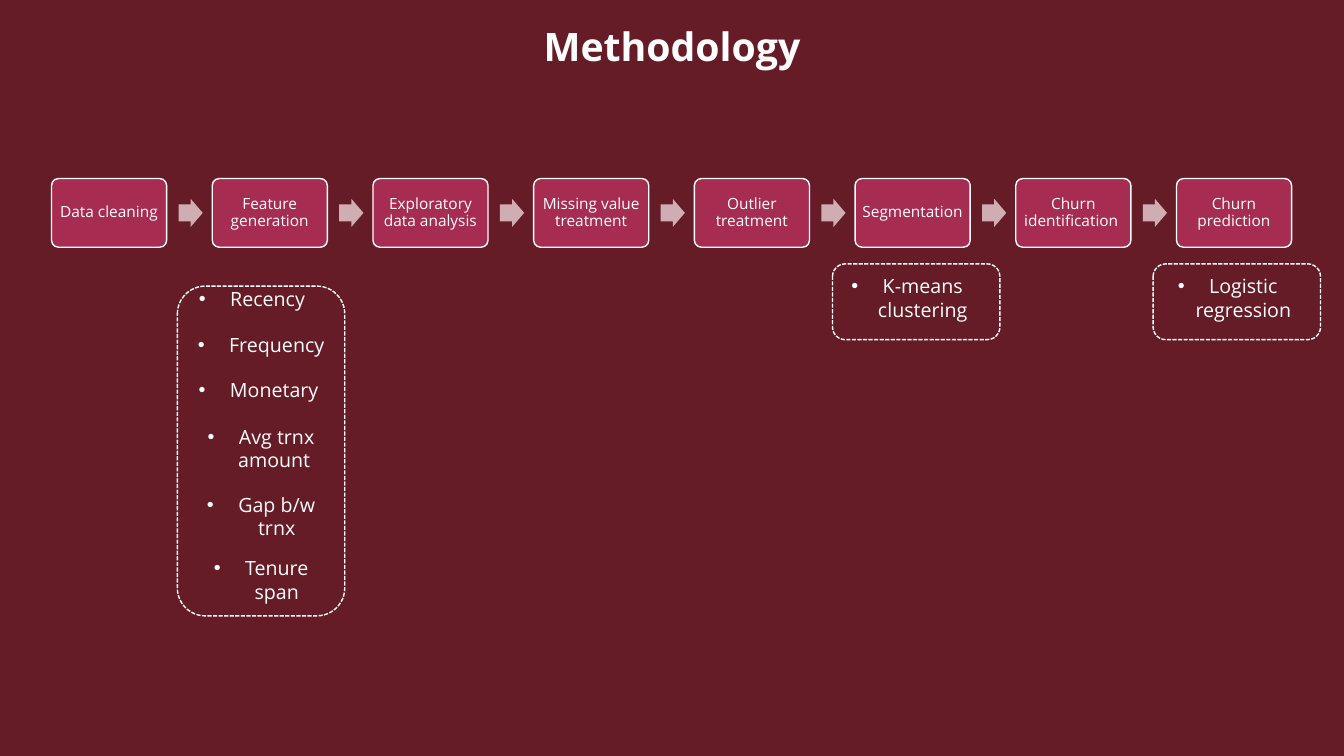
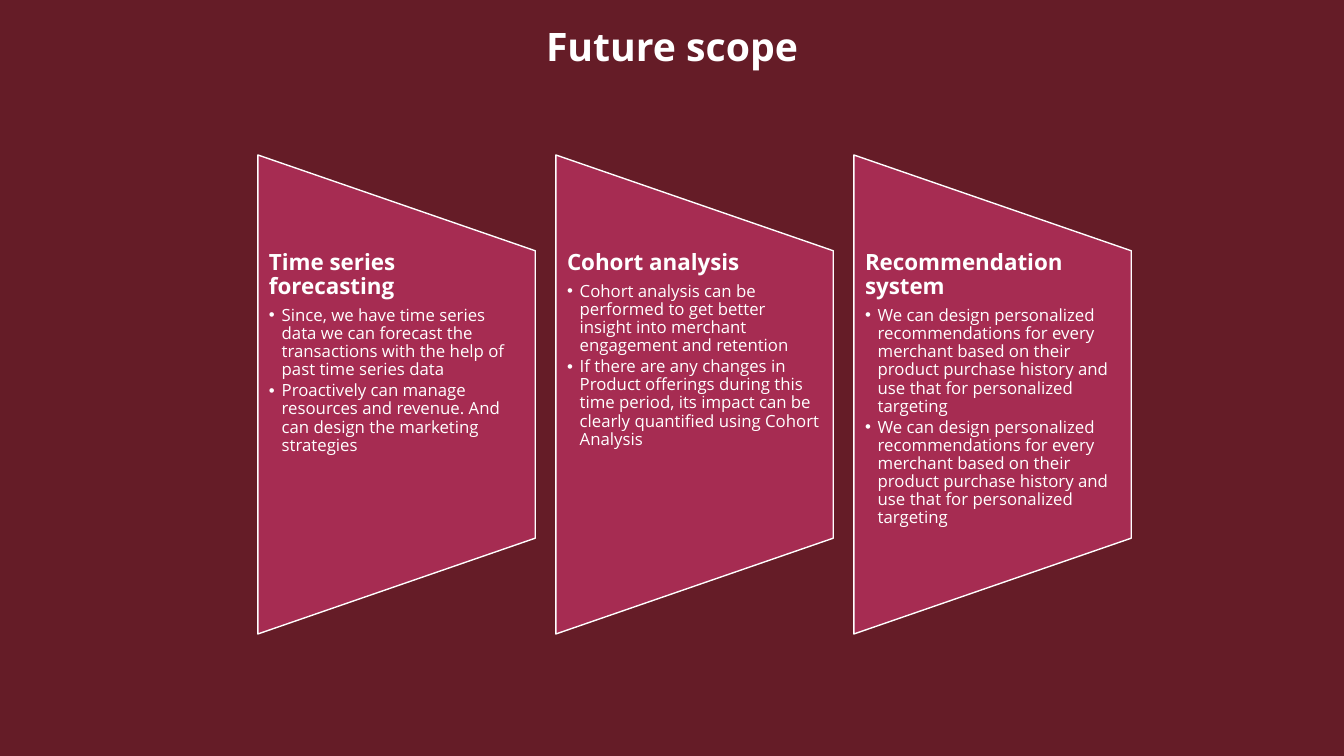
from lxml.etree import SubElement
from pptx import Presentation
from pptx.dml.color import RGBColor
from pptx.enum.dml import MSO_LINE_DASH_STYLE as DASH
from pptx.enum.shapes import MSO_SHAPE as SHAPE
from pptx.enum.text import MSO_ANCHOR as ANCHOR, PP_ALIGN as ALIGN
from pptx.oxml.ns import qn
from pptx.util import Cm, Pt

# Shared style
FONT = "Open Sans"
BACK, PANEL, ARROW, WHITE = "651C27", "A62C52", "D0ADB3", "FFFFFF"

# Slide 1: process steps, and notes as (text, left, top, height)
STEPS = ["Data cleaning", "Feature generation", "Exploratory data analysis",
         "Missing value treatment", "Outlier treatment", "Segmentation",
         "Churn identification ", "Churn prediction"]
STEP_LEFT, STEP_TOP, STEP_W, STEP_H, STEP_PITCH = 1.3, 4.5, 2.9, 1.73, 4.05
FEATURES = [("Recency", 4.47, 7.09, 0.86), ("Frequency ", 4.7, 8.26, 0.86),
            ("Monetary ", 4.7, 9.4, 0.86), ("Avg trnx amount ", 4.7, 10.57, 1.45),
            ("Gap b/w trnx", 4.7, 12.29, 1.45), ("Tenure span", 4.7, 13.89, 1.45)]
METHODS = [("K-means clustering", 20.98), ("Logistic regression", 29.06)]
FRAME_W = 4.22

# Slide 2: panels as (heading, points)
RECOMMEND = ("We can design personalized recommendations for every merchant based on "
             "their product purchase history and use that for personalized targeting")
PANELS = [
    ("Time series forecasting", [
        "Since, we have time series data we can forecast the transactions with the "
        "help of past time series data",
        "Proactively can manage resources and revenue. And can design the marketing "
        "strategies "]),
    ("Cohort analysis", [
        "Cohort analysis can be performed to get better insight into merchant "
        "engagement and retention",
        "If there are any changes in Product offerings during this time period, its "
        "impact can be clearly quantified using Cohort Analysis"]),
    ("Recommendation system", [RECOMMEND, RECOMMEND]),
]
PANEL_LEFT, PANEL_W, PANEL_H, PANEL_PITCH = 6.5, 6.99, 12.07, 7.51
PANEL_MIDDLE = 9.94


def rgb(color):
    return RGBColor.from_string(color)


def add_run(p, text, size, bold=False):
    r = p.add_run()
    r.text = text
    r.font.name = FONT
    r.font.size = Pt(size)
    r.font.bold = bold
    r.font.color.rgb = rgb(WHITE)


def add_bullet(p, indent):
    pPr = p._p.get_or_add_pPr()
    pPr.set("marL", str(Cm(indent)))
    pPr.set("indent", str(-Cm(indent)))
    SubElement(pPr, qn("a:buFont")).set("typeface", "Arial")
    SubElement(pPr, qn("a:buChar")).set("char", "•")


def set_frame(tf, anchor, side, end):
    tf.word_wrap = True
    tf.vertical_anchor = anchor
    tf.margin_left = tf.margin_right = Cm(side)
    tf.margin_top = tf.margin_bottom = Cm(end)


def add_text(s, left, top, width, height, anchor=ANCHOR.TOP, side=0.25, end=0.13):
    tf = s.shapes.add_textbox(Cm(left), Cm(top), Cm(width), Cm(height)).text_frame
    set_frame(tf, anchor, side, end)
    return tf


def add_box(s, kind, left, top, width, height, fill=None, line=None):
    sp = s.shapes.add_shape(kind, Cm(left), Cm(top), Cm(width), Cm(height))
    sp.shadow.inherit = False
    if fill:
        sp.fill.solid()
        sp.fill.fore_color.rgb = rgb(fill)
    else:
        sp.fill.background()
    if line:
        sp.line.color.rgb = rgb(line)
        sp.line.width = Pt(1)
    else:
        sp.line.fill.background()
    return sp


def add_slide(prs, title):
    s = prs.slides.add_slide(prs.slide_layouts[6])
    p = add_text(s, 2.33, -0.03, 29.21, 1.9, ANCHOR.BOTTOM).paragraphs[0]
    p.alignment = ALIGN.CENTER
    add_run(p, title, 28, bold=True)
    return s


def add_step(s, left, text):
    sp = add_box(s, SHAPE.ROUNDED_RECTANGLE, left, STEP_TOP, STEP_W, STEP_H, PANEL, WHITE)
    sp.adjustments[0] = 0.1
    set_frame(sp.text_frame, ANCHOR.MIDDLE, 0.13, 0.13)
    p = sp.text_frame.paragraphs[0]
    p.alignment = ALIGN.CENTER
    p.line_spacing = 0.9
    add_run(p, text, 11)


def add_step_arrow(s, left):
    sp = add_box(s, SHAPE.RIGHT_ARROW, left, 5.01, 0.61, 0.71, ARROW)
    sp.adjustments[0] = 0.6


def add_note(s, text, left, top, height):
    p = add_text(s, left, top, 3.76, height).paragraphs[0]
    p.alignment = ALIGN.CENTER
    add_bullet(p, 0.79)
    add_run(p, text, 14)


def add_dashed_frame(s, left, top, height):
    sp = add_box(s, SHAPE.ROUNDED_RECTANGLE, left, top, FRAME_W, height, line=WHITE)
    sp.line.dash_style = DASH.SQUARE_DOT


def add_panel(s, left, heading, points):
    # The outline is turned a quarter, so its width runs down the slide
    sp = add_box(s, SHAPE.FLOWCHART_MANUAL_OPERATION,
                 left + (PANEL_W - PANEL_H) / 2, PANEL_MIDDLE - PANEL_W / 2,
                 PANEL_H, PANEL_W, PANEL, WHITE)
    sp.rotation = 270

    tf = add_text(s, left, 6.32, PANEL_W, 7.24, side=0.28, end=0)
    p = tf.paragraphs[0]
    p.line_spacing = 0.9
    p.space_after = Pt(5.6)
    add_run(p, heading, 16, bold=True)
    for point in points:
        p = tf.add_paragraph()
        p.level = 1
        p.line_spacing = 0.9
        p.space_after = Pt(2)
        add_bullet(p, 0.32)
        add_run(p, point, 12)


def build_methodology(prs):
    s = add_slide(prs, "Methodology")
    for i, step in enumerate(STEPS):
        left = STEP_LEFT + i * STEP_PITCH
        add_step(s, left, step)
        if i < len(STEPS) - 1:
            add_step_arrow(s, left + 3.2)
    for feature in FEATURES:
        add_note(s, *feature)
    add_dashed_frame(s, 4.47, 7.21, 8.31)
    for method, left in METHODS:
        add_note(s, method, left, 6.78, 1.45)
        add_dashed_frame(s, left, 6.65, 1.91)


def build_future_scope(prs):
    s = add_slide(prs, "Future scope")
    for i, (heading, points) in enumerate(PANELS):
        add_panel(s, PANEL_LEFT + i * PANEL_PITCH, heading, points)


def main():
    prs = Presentation()
    prs.slide_width, prs.slide_height = Cm(33.87), Cm(19.05)
    back = prs.slide_master.background.fill
    back.solid()
    back.fore_color.rgb = rgb(BACK)
    build_methodology(prs)
    build_future_scope(prs)
    prs.save("out.pptx")


main()
